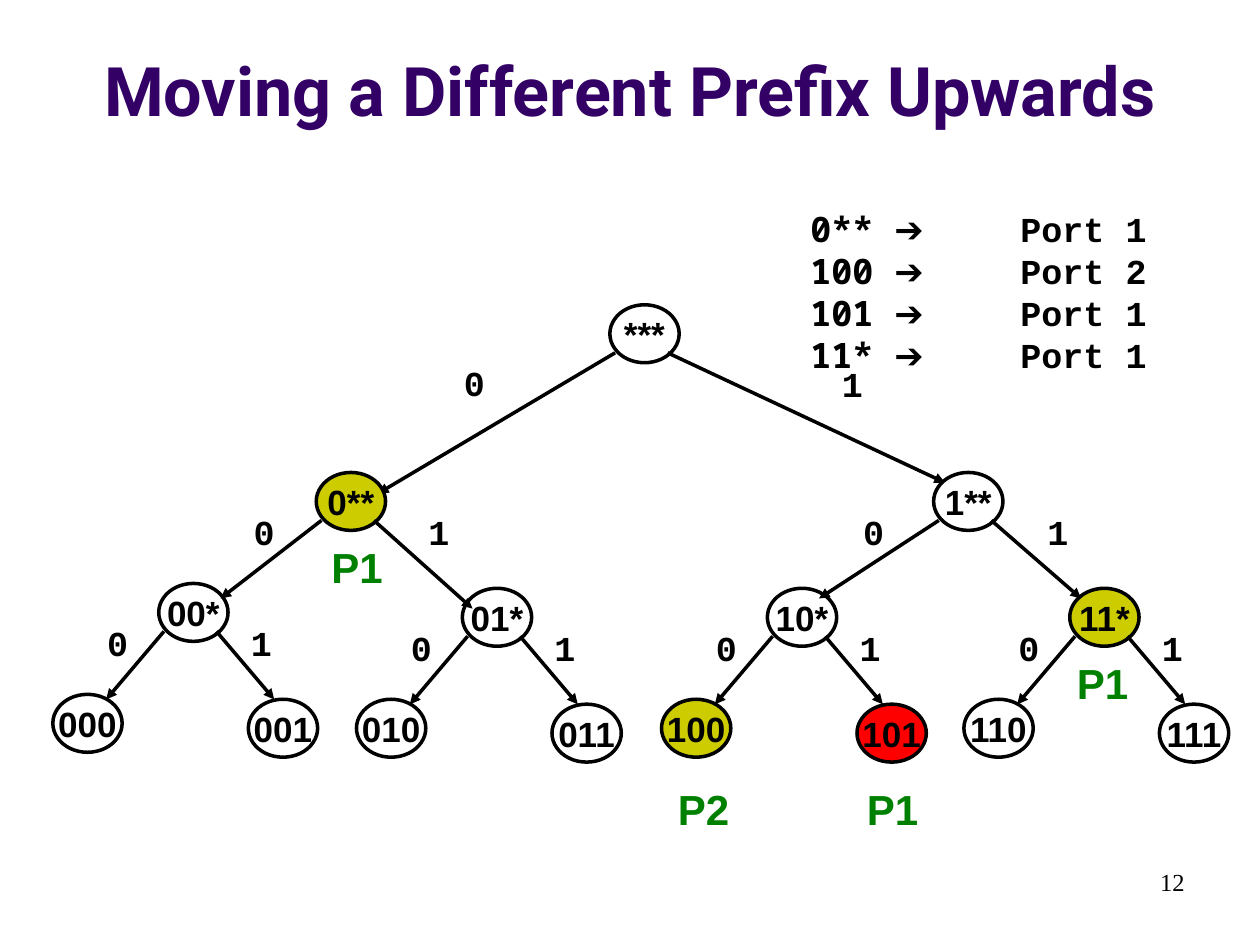
"""Build a slide showing a prefix tree with ports assigned to its nodes."""
from lxml import etree
from pptx import Presentation
from pptx.dml.color import RGBColor
from pptx.enum.shapes import MSO_CONNECTOR, MSO_SHAPE
from pptx.enum.text import MSO_ANCHOR, PP_ALIGN
from pptx.oxml.ns import qn
from pptx.util import Pt

STRAIGHT = MSO_CONNECTOR.STRAIGHT
OVAL = MSO_SHAPE.OVAL
MIDDLE, BOTTOM = MSO_ANCHOR.MIDDLE, MSO_ANCHOR.BOTTOM
CENTER, RIGHT = PP_ALIGN.CENTER, PP_ALIGN.RIGHT

COLORS = {"title": "330066", "ink": "000000", "port": "008000",
          "plain": "FFFFFF", "prefix": "CCCC00", "changed": "FF0000"}
NODE_SIZE = (39.6, 33.1)
EDGE_STARTS = ((3, 27.4), (33, 27.4))
LEAF_OFFSETS = ((-60.5, 63.4), (51.2, 66.2))
LEAF_EDGE_ENDS = ((-30, 66.3), (66, 66.3))
LEAF_LABELS = ((-42.5, 18), (39.6, 18))
FILLS = {"0**": "prefix", "11*": "prefix", "100": "prefix", "101": "changed"}

INNER_NODES = {"***": (348.5, 174.2), "0**": (180.7, 270), "1**": (533.5, 270)}
PARENTS = {"00*": (90.7, 333.4), "01*": (264.2, 336.2),
           "10*": (438.5, 336.2), "11*": (611.3, 336.2)}
INNER_EDGE_ENDS = {"***": ((216, 282), (540, 275.8)),
                   "0**": ((126, 342), (270, 347.8)),
                   "1**": ((468, 342), (617.8, 342))}
INNER_LABELS = {"***": ((252, 203), (468, 203.8)),
                "0**": ((131.8, 288), (231.8, 288)),
                "1**": ((480.2, 288), (585.4, 288))}
PORTS = [("P1", 174, 306), ("P2", 372, 444), ("P1", 480, 444), ("P1", 600, 372)]
ROUTES = [("0**", "Port 1"), ("100", "Port 2"), ("101", "Port 1"), ("11*", "Port 1")]


def shift(point, offset):
    """Return the point moved by the offset."""
    return point[0] + offset[0], point[1] + offset[1]


def style_font(font, name, size, color="ink", bold=True):
    """Set the face, size, colour and weight of a font."""
    font.name, font.size, font.bold = name, Pt(size), bold
    font.color.rgb = RGBColor.from_string(COLORS[color])


def add_text(page, text, place, size, name, color="ink", bold=True, align=CENTER):
    """Add a wrapped one-paragraph text box."""
    box = page.shapes.add_textbox(*map(Pt, place))
    box.text_frame.word_wrap = True
    para = box.text_frame.paragraphs[0]
    para.text, para.alignment = text, align
    style_font(para.font, name, size, color, bold)


def add_node(page, prefix, corner):
    """Add an oval tree node holding its prefix."""
    node = page.shapes.add_shape(OVAL, *map(Pt, corner + NODE_SIZE))
    node.shadow.inherit = False
    node.fill.solid()
    node.fill.fore_color.rgb = RGBColor.from_string(COLORS[FILLS.get(prefix, "plain")])
    node.line.color.rgb = RGBColor.from_string(COLORS["ink"])
    node.line.width = Pt(2)
    frame = node.text_frame
    frame.word_wrap, frame.vertical_anchor = False, MIDDLE
    para = frame.paragraphs[0]
    para.text, para.alignment = prefix, CENTER
    style_font(para.font, "Arial", 20)


def add_edge(page, start, end):
    """Add an arrow from one point to another."""
    edge = page.shapes.add_connector(STRAIGHT, *map(Pt, start + end))
    edge.line.color.rgb = RGBColor.from_string(COLORS["ink"])
    edge.line.width = Pt(2)
    etree.SubElement(edge.line._get_or_add_ln(), qn("a:tailEnd"), type="triangle")
    etree.SubElement(edge._element.spPr, qn("a:effectLst"))


def add_branches(page, corner, ends, labels):
    """Add the 0 and 1 branches that leave a node."""
    for bit, start, end, label in zip("01", EDGE_STARTS, ends, labels):
        add_edge(page, shift(corner, start), end)
        add_text(page, bit, label + (38.2, 31), 20, "Courier New")


def add_leaf_family(page, parent, corner):
    """Add a parent node, its two leaves and the branches between them."""
    add_node(page, parent, corner)
    for bit, offset in zip("01", LEAF_OFFSETS):
        add_node(page, parent.replace("*", bit), shift(corner, offset))
    add_branches(page, corner, [shift(corner, end) for end in LEAF_EDGE_ENDS],
                 [shift(corner, label) for label in LEAF_LABELS])


def add_routes(page):
    """Add the forwarding table as tabbed lines."""
    box = page.shapes.add_textbox(Pt(456), Pt(115), Pt(234), Pt(103))
    frame = box.text_frame
    frame.word_wrap = True
    for index, (prefix, port) in enumerate(ROUTES):
        para = frame.add_paragraph() if index else frame.paragraphs[0]
        para.line_spacing = Pt(24)
        tabs = etree.SubElement(para._p.get_or_add_pPr(), qn("a:tabLst"))
        for stop in (48, 120):
            etree.SubElement(tabs, qn("a:tab"), pos=str(Pt(stop)), algn="l")
        for text, name in ((prefix + "\t", "Noto Sans Mono"), ("➔\t", "Arial"),
                           (port, "Courier New")):
            span = para.add_run()
            span.text = text
            style_font(span.font, name, 20)


def add_title(page, text):
    """Place and format the slide title."""
    title = page.shapes.title
    title.left, title.top, title.width, title.height = map(Pt, (0, 9.4, 720, 68.4))
    title.text_frame.vertical_anchor = BOTTOM
    para = title.text_frame.paragraphs[0]
    para.text, para.alignment = text, CENTER
    style_font(para.font, "Roboto", 39, "title")


def main():
    """Build and save the slide."""
    deck = Presentation()
    deck.slide_width, deck.slide_height = Pt(720), Pt(540)
    page = deck.slides.add_slide(deck.slide_layouts[5])
    add_title(page, "Moving a Different Prefix Upwards")
    add_text(page, "12", (516, 492, 168, 36), 14, "Times New Roman", bold=False, align=RIGHT)
    for parent, corner in PARENTS.items():
        add_leaf_family(page, parent, corner)
    for prefix, corner in INNER_NODES.items():
        add_node(page, prefix, corner)
        add_branches(page, corner, INNER_EDGE_ENDS[prefix], INNER_LABELS[prefix])
    for port, left, top in PORTS:
        add_text(page, port, (left, top, 60, 36), 24, "Arial", "port")
    add_routes(page)
    deck.save("out.pptx")


if __name__ == "__main__":
    main()
